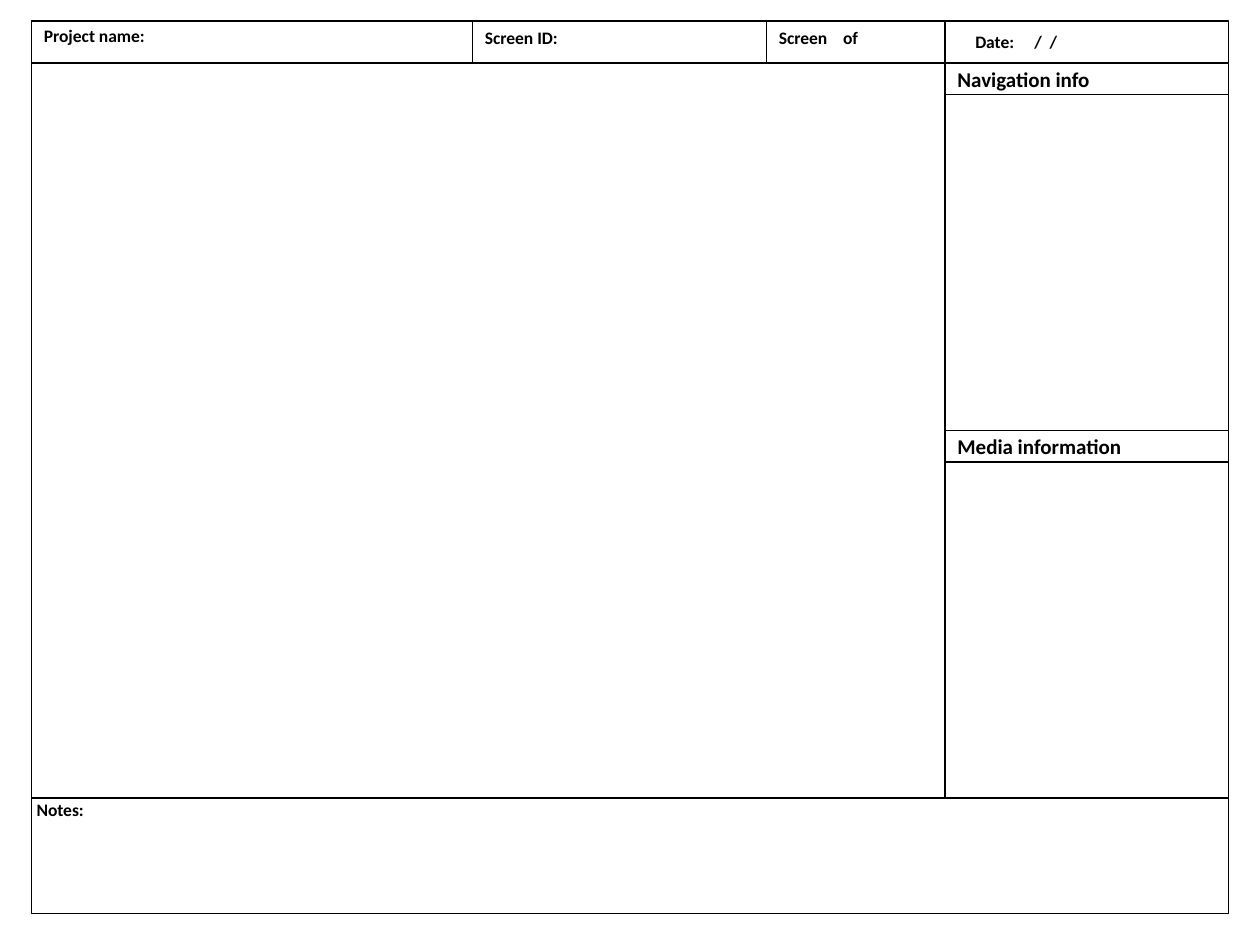
from dataclasses import dataclass

from lxml import etree
from pptx import Presentation
from pptx.dml.color import RGBColor
from pptx.enum.shapes import MSO_CONNECTOR, MSO_SHAPE
from pptx.enum.text import MSO_ANCHOR, PP_ALIGN
from pptx.oxml.ns import qn
from pptx.util import Inches, Pt

STRAIGHT = MSO_CONNECTOR.STRAIGHT
RECTANGLE = MSO_SHAPE.RECTANGLE
TOP, MIDDLE = MSO_ANCHOR.TOP, MSO_ANCHOR.MIDDLE
LEFT = PP_ALIGN.LEFT


@dataclass(frozen=True)
class Theme:
    font: str = "Calibri"
    ink: RGBColor = RGBColor(0, 0, 0)
    paper: RGBColor = RGBColor(255, 255, 255)
    line_width: int = Pt(0.75)
    label_size: int = Pt(10)
    heading_size: int = Pt(12)


@dataclass(frozen=True)
class Box:
    left: float
    top: float
    width: float
    height: float

    @property
    def right(self):
        return self.left + self.width

    @property
    def bottom(self):
        return self.top + self.height


THEME = Theme()
COLUMNS, ROWS = 120, 90
LABEL_HEIGHT = 3.2
HEADING_HEIGHT = 3


def grid(units):
    return Inches(units / 12)


def add_rule(slide, x1, y1, x2, y2):
    rule = slide.shapes.add_connector(STRAIGHT, grid(x1), grid(y1), grid(x2), grid(y2))
    rule.line.color.rgb = THEME.ink
    rule.line.width = THEME.line_width
    etree.SubElement(rule._element.spPr, qn("a:effectLst"))


def add_frame(slide, box):
    shape = slide.shapes.add_shape(
        RECTANGLE, grid(box.left), grid(box.top), grid(box.width), grid(box.height))
    shape.shadow.inherit = False
    shape.fill.solid()
    shape.fill.fore_color.rgb = THEME.paper
    shape.line.color.rgb = THEME.ink
    shape.line.width = THEME.line_width
    return shape


def write_text(shape, text, size, anchor=TOP, tabs=()):
    frame = shape.text_frame
    frame.word_wrap = True
    frame.vertical_anchor = anchor
    frame.text = text
    paragraph = frame.paragraphs[0]
    paragraph.alignment = LEFT
    if tabs:
        tab_list = etree.SubElement(paragraph._p.get_or_add_pPr(), qn("a:tabLst"))
        for position in tabs:
            etree.SubElement(tab_list, qn("a:tab"), pos=str(Inches(position)), algn="l")
    font = paragraph.font
    font.name, font.size, font.bold = THEME.font, size, True
    font.color.rgb = THEME.ink


def add_label(slide, left, top, width, text, tabs=()):
    label = slide.shapes.add_textbox(
        grid(left), grid(top), grid(width), grid(LABEL_HEIGHT))
    write_text(label, text, THEME.label_size, tabs=tabs)


def add_header(slide, box, dividers):
    add_rule(slide, box.left, box.bottom, box.right, box.bottom)
    for x in dividers:
        add_rule(slide, x, box.top, x, box.bottom)
    screen_id, screen_count, date = dividers
    add_label(slide, box.left, box.top - 0.2, screen_id - box.left, "Project name:")
    add_label(slide, screen_id, box.top, screen_count - screen_id, "Screen ID:")
    add_label(slide, screen_count, box.top, date - screen_count,
              "Screen\tof", tabs=(0.51,))
    add_label(slide, date + 1.7, box.top + 0.4, box.right - date - 1.7,
              "Date:\t/\t/", tabs=(0.47, 0.59))


def add_sidebar(slide, box, headings):
    add_rule(slide, box.left, box.top, box.left, box.bottom)
    section_height = box.height / len(headings)
    for index, heading in enumerate(headings):
        top = box.top + index * section_height
        band = add_frame(slide, Box(box.left, top, box.width, HEADING_HEIGHT))
        write_text(band, heading, THEME.heading_size, MIDDLE)


def add_notes(slide, box):
    add_frame(slide, box)
    add_label(slide, box.left - 0.7, box.top - 0.5, 8, "Notes:")


def add_storyboard(slide, box):
    header = Box(box.left, box.top, box.width, 4)
    notes = Box(box.left, box.bottom - 11, box.width, 11)
    sidebar_left = box.right - 27
    sidebar = Box(sidebar_left, header.bottom, 27, notes.top - header.bottom)
    add_frame(slide, Box(box.left, box.top, box.width, notes.top - box.top))
    add_header(slide, header, (45, 73, sidebar_left))
    add_sidebar(slide, sidebar, ("Navigation info", "Media information"))
    add_notes(slide, notes)


def main():
    presentation = Presentation()
    presentation.slide_width = grid(COLUMNS)
    presentation.slide_height = grid(ROWS)
    slide = presentation.slides.add_slide(presentation.slide_layouts[6])
    add_storyboard(slide, Box(3, 2, COLUMNS - 6, ROWS - 5))
    presentation.save("out.pptx")


if __name__ == "__main__":
    main()
